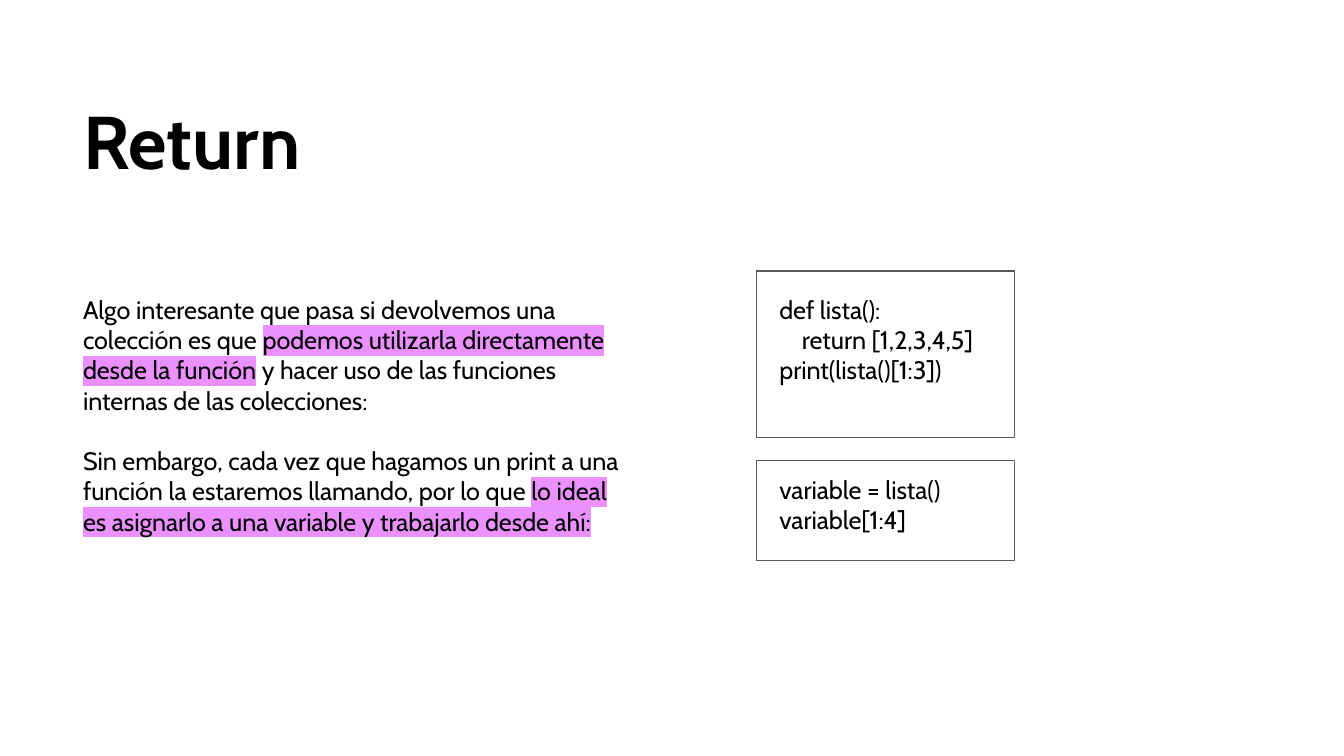
"""Builds the slide on using the collection that a function returns."""
from lxml.etree import SubElement
from pptx import Presentation
from pptx.dml.color import RGBColor
from pptx.enum.shapes import MSO_SHAPE
from pptx.enum.text import MSO_ANCHOR, MSO_AUTO_SIZE, PP_ALIGN
from pptx.oxml.ns import qn
from pptx.util import Pt

COLORS = {"text": "000000", "mark": "EA90FF", "border": "595959", "back": "FFFFFF"}
FONT = "Cabin"
BODY_SIZE = 13.5
LEFT = 37.4
CODE_LEFT = 410.4
FRAME_LEFT = 405.4
FRAME_WIDTH = 138.2

EXPLANATION = [
    [("Algo interesante que pasa si devolvemos una colección es que ", False),
     ("podemos utilizarla directamente desde la función", True),
     (" y hacer uso de las funciones internas de las colecciones:", False)],
    [("Sin embargo, cada vez que hagamos un print a una función la estaremos "
      "llamando, por lo que ", False),
     ("lo ideal es asignarlo a una variable y trabajarlo desde ahí:", True)],
]
DIRECT_USE = ["def lista():", "    return [1,2,3,4,5]", "print(lista()[1:3])"]
VARIABLE_USE = ["variable = lista()", "variable[1:4]"]


def rgb(name):
    return RGBColor.from_string(COLORS[name])


def add_run(p, text, size, bold=False, marked=False):
    r = p.add_run()
    r.text = text
    r.font.size = Pt(size)
    r.font.bold = bold
    r.font.color.rgb = rgb("text")
    if marked:
        highlight = SubElement(r._r.get_or_add_rPr(), qn("a:highlight"))
        SubElement(highlight, qn("a:srgbClr")).set("val", COLORS["mark"])
    r.font.name = FONT


def format_frame(tf):
    tf.word_wrap = True
    tf.auto_size = MSO_AUTO_SIZE.NONE
    tf.vertical_anchor = MSO_ANCHOR.TOP
    tf.margin_left = tf.margin_right = tf.margin_top = tf.margin_bottom = Pt(7.2)


def set_title(s, text):
    sp = s.shapes.title
    sp.left, sp.top, sp.width, sp.height = Pt(LEFT), Pt(49), Pt(640.8), Pt(58.3)
    format_frame(sp.text_frame)
    p = sp.text_frame.paragraphs[0]
    p.alignment = PP_ALIGN.LEFT
    p.line_spacing = 0.9
    p.space_before = Pt(0)
    add_run(p, text, 40, bold=True)


def add_text(s, left, top, width, height, paragraphs, gap=0):
    sp = s.shapes.add_textbox(Pt(left), Pt(top), Pt(width), Pt(height))
    tf = sp.text_frame
    format_frame(tf)
    for i, runs in enumerate(paragraphs):
        p = tf.paragraphs[0] if i == 0 else tf.add_paragraph()
        if i and gap:
            p.space_before = Pt(gap)
        for text, marked in runs:
            add_run(p, text, BODY_SIZE, marked=marked)


def add_code(s, top, width, height, lines):
    add_text(s, CODE_LEFT, top, width, height, [[(line, False)] for line in lines])


def add_frame(s, top, height):
    sp = s.shapes.add_shape(MSO_SHAPE.RECTANGLE, Pt(FRAME_LEFT), Pt(top),
                            Pt(FRAME_WIDTH), Pt(height))
    sp.shadow.inherit = False
    sp.fill.background()
    sp.line.color.rgb = rgb("border")
    sp.line.width = Pt(0.75)


def main():
    prs = Presentation()
    prs.slide_width, prs.slide_height = Pt(720), Pt(405)
    s = prs.slides.add_slide(prs.slide_layouts[5])
    s.background.fill.solid()
    s.background.fill.fore_color.rgb = rgb("back")
    set_title(s, "Return")
    add_text(s, LEFT, 150.5, 301.7, 162, EXPLANATION, gap=16.2)
    add_code(s, 150.5, 301.7, 96.5, DIRECT_USE)
    add_frame(s, 145.2, 89.1)
    add_code(s, 246.8, 236.2, 64, VARIABLE_USE)
    add_frame(s, 246.8, 53.4)
    prs.save("out.pptx")


if __name__ == "__main__":
    main()
